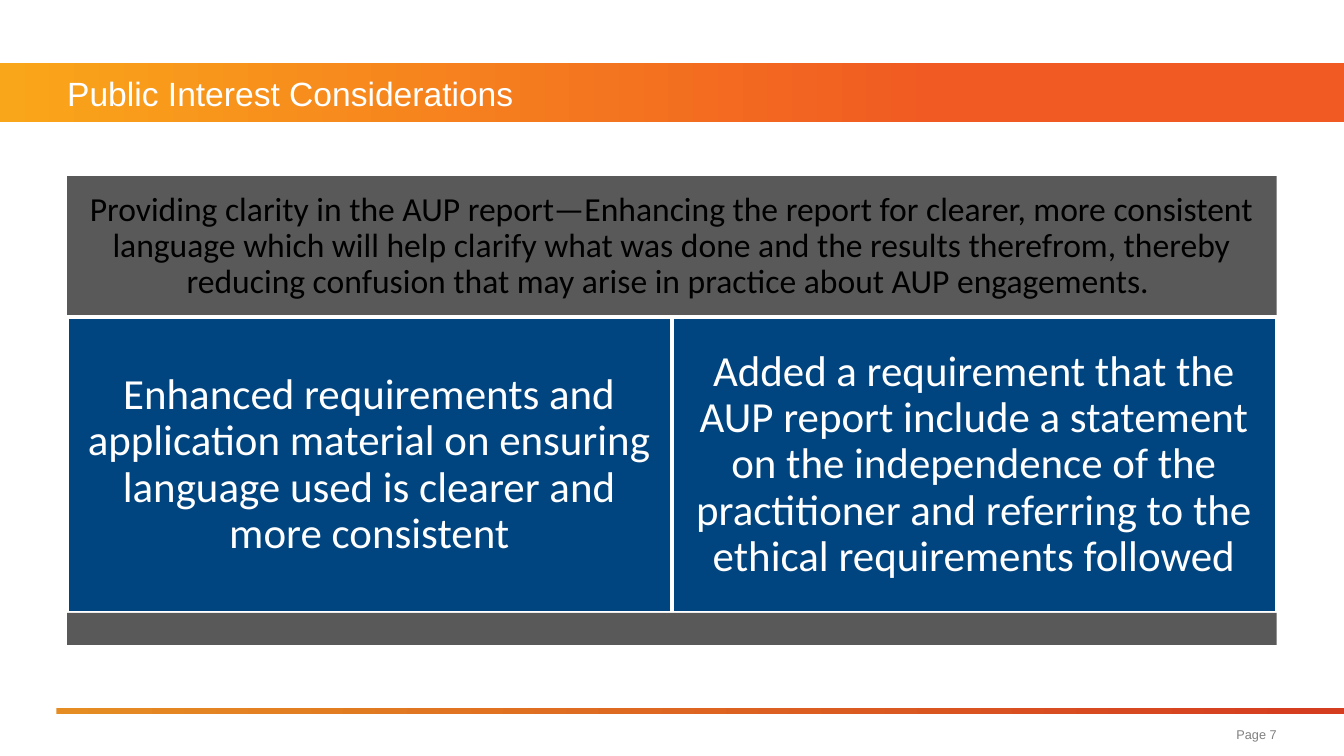
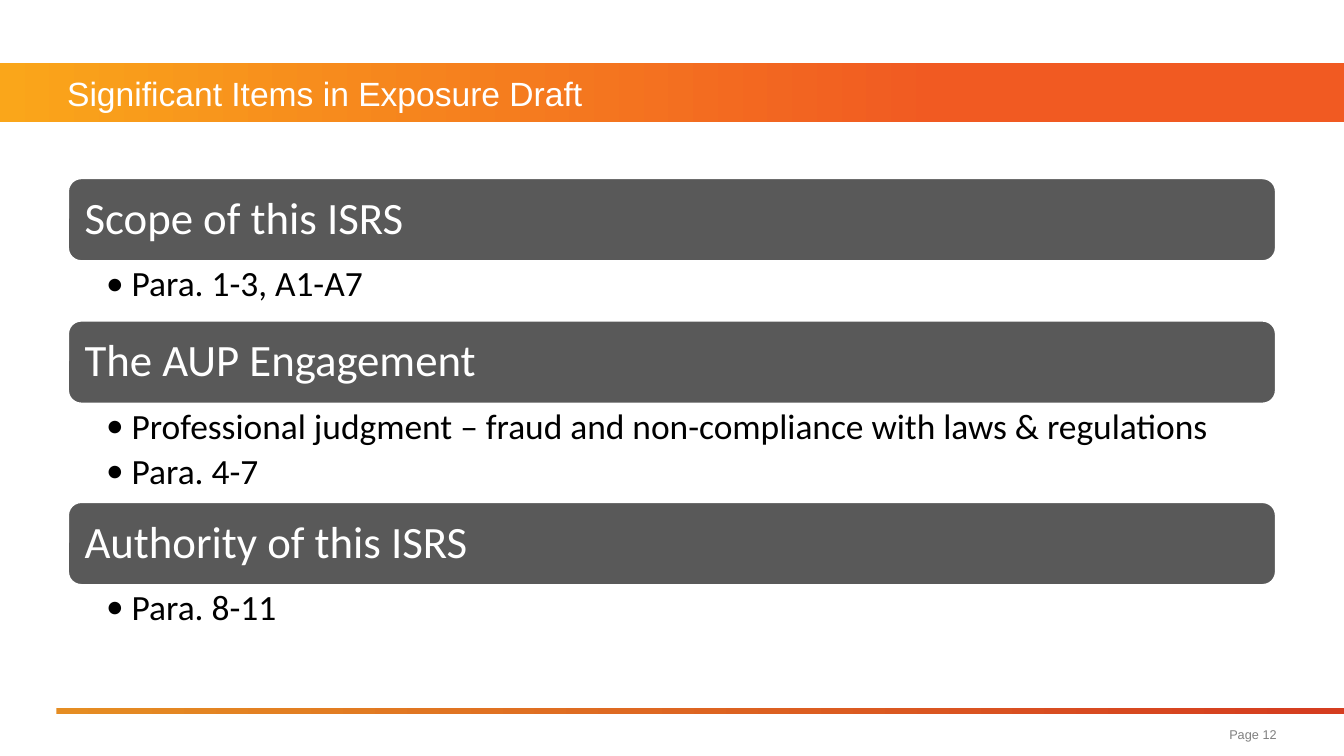
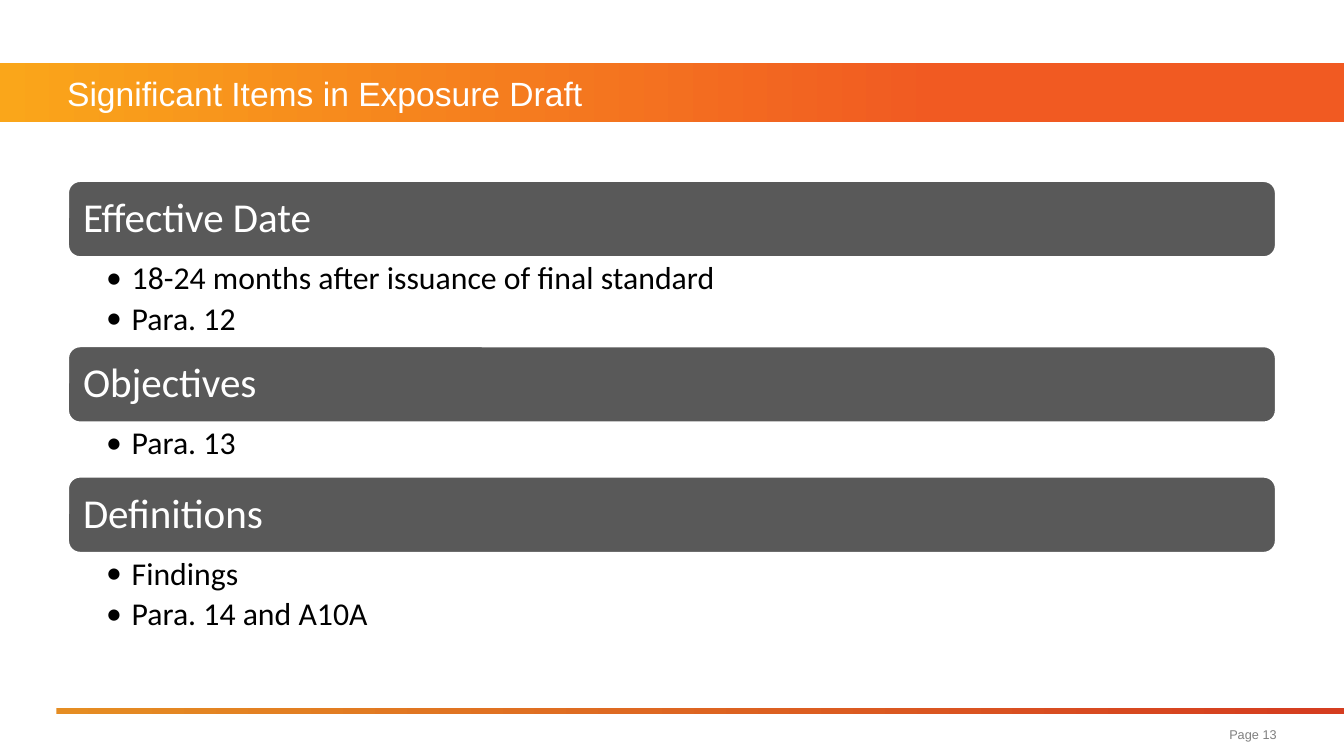
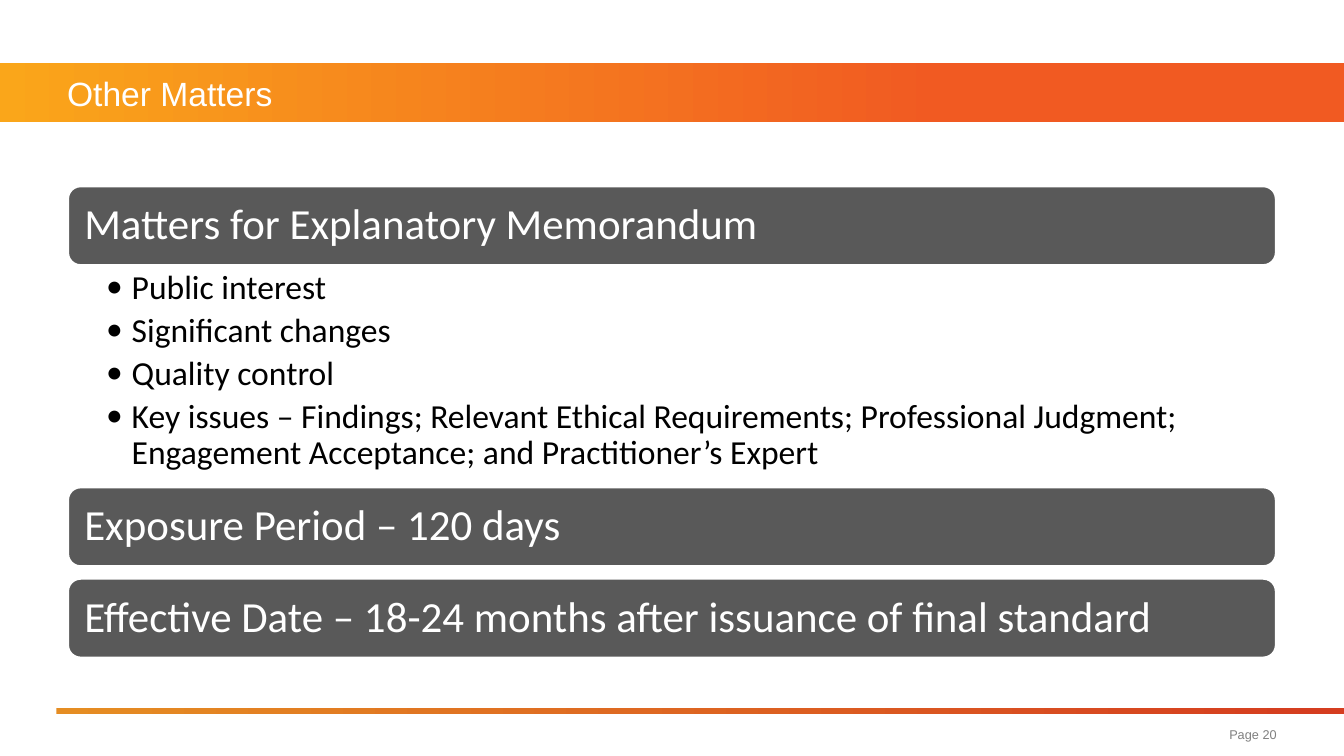
from lxml import etree
from pptx import Presentation
from pptx.dml.color import RGBColor
from pptx.enum.shapes import MSO_SHAPE
from pptx.enum.text import MSO_ANCHOR, PP_ALIGN
from pptx.oxml.ns import qn
from pptx.util import Inches, Pt

RECT, ROUNDED = MSO_SHAPE.RECTANGLE, MSO_SHAPE.ROUNDED_RECTANGLE
LEFT, CENTER, RIGHT = PP_ALIGN.LEFT, PP_ALIGN.CENTER, PP_ALIGN.RIGHT
TOP, MIDDLE = MSO_ANCHOR.TOP, MSO_ANCHOR.MIDDLE

WHITE, BLACK, GRAY, NAVY, PAGE_GRAY = "FFFFFF", "000000", "595959", "004480", "808080"
TITLE_GRADIENT = [(0, "FAA61A"), (0.7, "F15A22")]
RULE_GRADIENT = [(0, "E58D23"), (0.99, "D53D20")]
SLIDE_WIDTH = 10
SLIDE_HEIGHT = SLIDE_WIDTH * 9 / 16
MARGIN, CONTENT_WIDTH = 0.5, 9
TITLE_TOP, TITLE_HEIGHT = 0.47, 0.44
BULLET_INDENT = 0.19

INTEREST = {
    "title": "Public Interest Considerations",
    "page": 7,
    "goal": "Providing clarity in the AUP report—Enhancing the report for clearer, "
            "more consistent language which will help clarify what was done and the "
            "results therefrom, thereby reducing confusion that may arise in practice "
            "about AUP engagements. ",
    "measures": [
        "Enhanced requirements and application material on ensuring language used is "
        "clearer and more consistent",
        "Added a requirement that the AUP report include a statement on the "
        "independence of the practitioner and referring to the ethical requirements "
        "followed",
    ],
}

OUTLINES = [
    {
        "title": "Significant Items in Exposure Draft", "page": 12,
        "top": 1.32, "heading_height": 0.63, "heading_size": 24,
        "inset": 0.1, "bullet_size": 19,
        "sections": [
            ("Scope of this ISRS", 0.43, ["Para. 1-3, A1-A7"]),
            ("The AUP Engagement", 0.72, [
                "Professional judgment – fraud and non-compliance with laws & regulations",
                "Para. 4-7",
            ]),
            ("Authority of this ISRS", 0.43, ["Para. 8-11"]),
        ],
    },
    {
        "title": "Significant Items in Exposure Draft", "page": 13,
        "top": 1.34, "heading_height": 0.58, "heading_size": 22,
        "inset": 0.09, "bullet_size": 17,
        "sections": [
            ("Effective Date", 0.65, [
                "18-24 months after issuance of final standard", "Para. 12",
            ]),
            ("Objectives", 0.39, ["Para. 13"]),
            ("Definitions", 0.65, ["Findings", "Para. 14 and A10A"]),
        ],
    },
    {
        "title": "Other Matters", "page": 20,
        "top": 1.38, "heading_height": 0.6, "heading_size": 23,
        "inset": 0.1, "bullet_size": 18,
        "sections": [
            ("Matters for Explanatory Memorandum", 1.64, [
                "Public interest",
                "Significant changes",
                "Quality control",
                "Key issues – Findings; Relevant Ethical Requirements; Professional "
                "Judgment; Engagement Acceptance; and Practitioner’s Expert",
            ]),
            ("Exposure Period – 120 days", 0.08, []),
            ("Effective Date – 18-24 months after issuance of final standard", 0, []),
        ],
    },
]


def color(hex_string):
    return RGBColor.from_string(hex_string)


def add_block(slide, left, top, width, height, fill, outline=None, kind=RECT):
    block = slide.shapes.add_shape(
        kind, Inches(left), Inches(top), Inches(width), Inches(height))
    block.shadow.inherit = False
    if isinstance(fill, list):
        block.fill.gradient()
        block.fill.gradient_angle = 0
        for stop, (position, shade) in zip(block.fill.gradient_stops, fill):
            stop.position = position
            stop.color.rgb = color(shade)
    else:
        block.fill.solid()
        block.fill.fore_color.rgb = color(fill)
    if outline:
        block.line.color.rgb = color(outline)
        block.line.width = Pt(2)
    else:
        block.line.fill.background()
    return block


def add_box(slide, left, top, width, height):
    return slide.shapes.add_textbox(
        Inches(left), Inches(top), Inches(width), Inches(height))


def write(holder, *lines, size, ink=WHITE, font="Calibri", align=LEFT,
          anchor=MIDDLE, insets=(0, 0, 0, 0), spacing=0.9, bullet=None):
    frame = holder.text_frame
    frame.word_wrap = True
    frame.vertical_anchor = anchor
    (frame.margin_left, frame.margin_top,
     frame.margin_right, frame.margin_bottom) = map(Inches, insets)
    for index, line in enumerate(lines):
        paragraph = frame.add_paragraph() if index else frame.paragraphs[0]
        if bullet:
            properties = paragraph._p.get_or_add_pPr()
            properties.set("marL", str(Inches(BULLET_INDENT)))
            properties.set("indent", str(-Inches(BULLET_INDENT)))
            etree.SubElement(properties, qn("a:buFont")).set("typeface", font)
            etree.SubElement(properties, qn("a:buChar")).set("char", bullet)
            paragraph.space_after = Pt(round(size * 0.2, 1))
        paragraph.alignment = align
        paragraph.line_spacing = spacing
        run = paragraph.add_run()
        run.text = line
        run.font.size = Pt(size)
        run.font.name = font
        run.font.color.rgb = color(ink)


def start_slide(deck, content):
    slide = deck.slides.add_slide(deck.slide_layouts[6])
    add_block(slide, 0, TITLE_TOP, SLIDE_WIDTH, TITLE_HEIGHT, TITLE_GRADIENT)
    add_block(slide, 0.42, 5.27, 9.58, 0.04, RULE_GRADIENT)
    title = add_box(slide, MARGIN, TITLE_TOP, CONTENT_WIDTH, TITLE_HEIGHT)
    write(title, content["title"], size=18, font="Arial", spacing=1.0)
    page = add_box(slide, 6.48, 5.34, 3.02, 0.25)
    write(page, f"Page {content['page']}", size=6.8, ink=PAGE_GRAY, font="Arial",
          align=RIGHT, spacing=1.0)
    return slide


def build_interest(deck, content):
    slide = start_slide(deck, content)
    goal_top, goal_height, measure_height, base_height = 1.31, 1.05, 2.2, 0.24
    goal = add_block(slide, MARGIN, goal_top, CONTENT_WIDTH, goal_height, GRAY)
    write(goal, content["goal"], size=18, ink=BLACK, align=CENTER, insets=[0.07] * 4)
    measure_top = goal_top + goal_height
    measure_width = CONTENT_WIDTH / len(content["measures"])
    for column, text in enumerate(content["measures"]):
        measure = add_block(slide, MARGIN + column * measure_width, measure_top,
                            measure_width, measure_height, NAVY, WHITE)
        write(measure, text, size=23, align=CENTER, insets=[0.1] * 4)
    add_block(slide, MARGIN, measure_top + measure_height, CONTENT_WIDTH,
              base_height, GRAY)


def build_outline(deck, content):
    slide = start_slide(deck, content)
    top, heading_height = content["top"], content["heading_height"]
    for heading_text, body_height, points in content["sections"]:
        heading = add_block(slide, MARGIN, top, CONTENT_WIDTH, heading_height,
                            GRAY, WHITE, ROUNDED)
        write(heading, heading_text, size=content["heading_size"],
              insets=[content["inset"]] * 4)
        top += heading_height
        if points:
            body = add_box(slide, MARGIN, top, CONTENT_WIDTH, body_height)
            write(body, *points, size=content["bullet_size"], ink=BLACK, anchor=TOP,
                  insets=(0.29, 0.03, 0.18, 0.03), bullet="•")
        top += body_height


def main():
    deck = Presentation()
    deck.slide_width, deck.slide_height = Inches(SLIDE_WIDTH), Inches(SLIDE_HEIGHT)
    build_interest(deck, INTEREST)
    for outline in OUTLINES:
        build_outline(deck, outline)
    deck.save("out.pptx")


if __name__ == "__main__":
    main()
